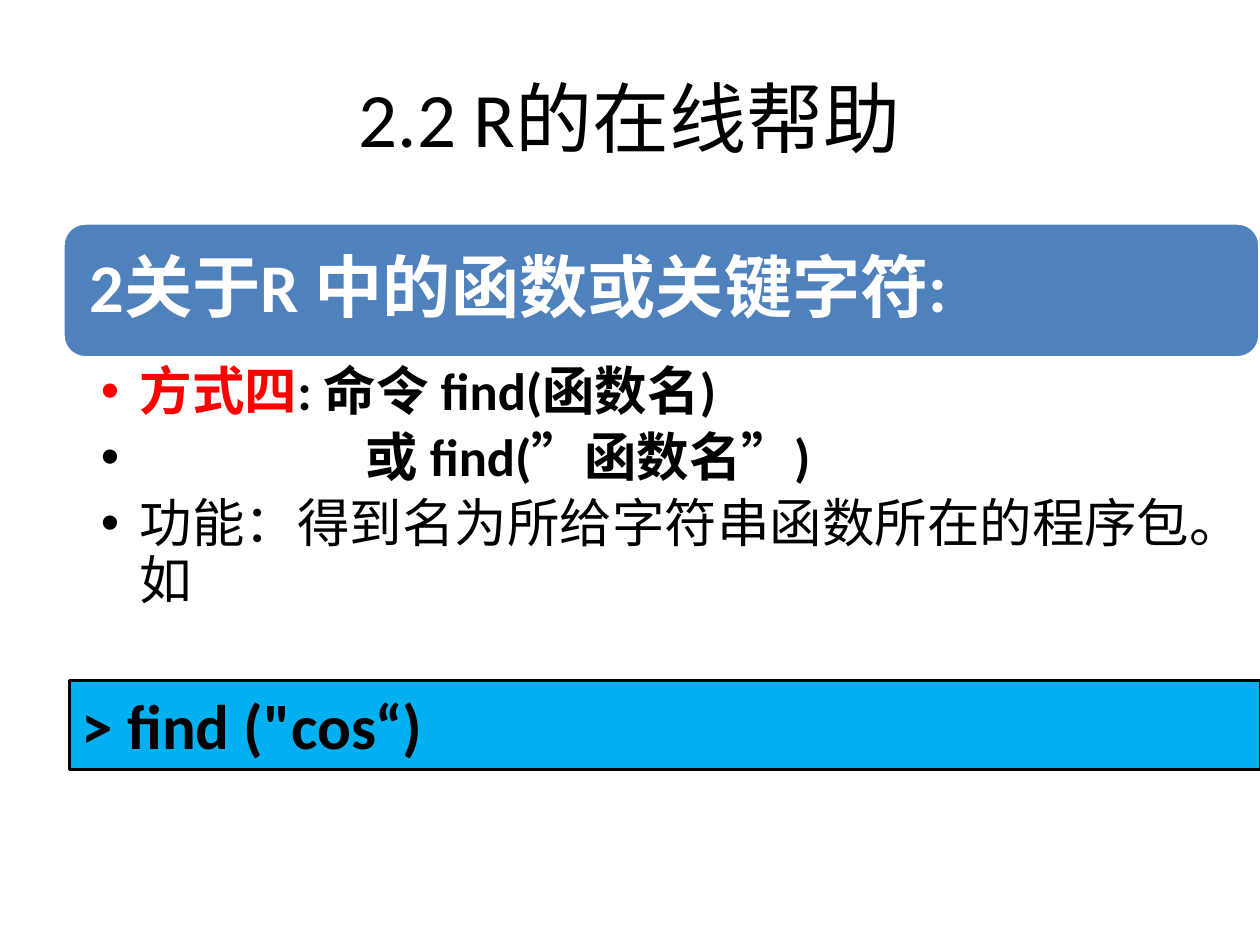
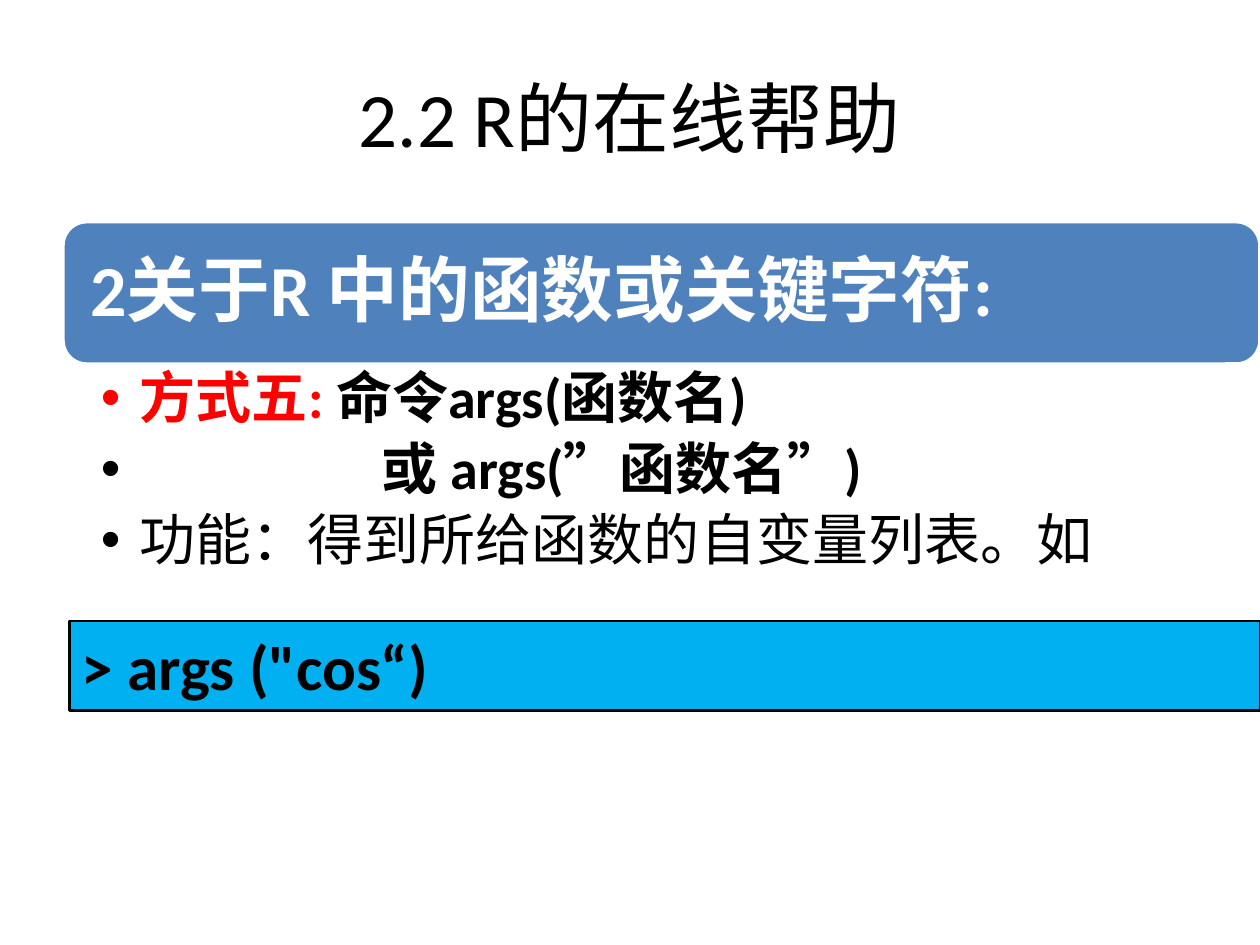
from lxml.etree import SubElement
from pptx import Presentation
from pptx.dml.color import RGBColor
from pptx.enum.shapes import MSO_SHAPE
from pptx.enum.text import MSO_ANCHOR, PP_ALIGN
from pptx.oxml.ns import qn
from pptx.util import Inches, Pt

FONT = "Calibri"
BLACK, WHITE, RED = "000000", "FFFFFF", "FF0000"
BANNER_BLUE, CODE_BLUE = "4F81BD", "00B0F0"
LEFT, CODE_LEFT, RIGHT = 0.5, 0.55, 10
BULLET_INDENT = 0.31
TITLE = "2.2 R的在线帮助"
BANNER = "2关于R 中的函数或关键字符:"


def rgb(hex_colour):
    return RGBColor.from_string(hex_colour)


def write(paragraph, text, size, colour=BLACK, bold=False):
    """Append one formatted run to a paragraph."""
    run = paragraph.add_run()
    run.text = text
    run.font.name = FONT
    run.font.size = Pt(size)
    run.font.bold = bold
    run.font.color.rgb = rgb(colour)


def set_frame(shape, horizontal=0.1, vertical=0.05, anchor=MSO_ANCHOR.TOP):
    """Set wrapping, insets and anchor; return the text frame."""
    frame = shape.text_frame
    frame.word_wrap = True
    frame.margin_left = frame.margin_right = Inches(horizontal)
    frame.margin_top = frame.margin_bottom = Inches(vertical)
    frame.vertical_anchor = anchor
    return frame


def add_box(slide, preset, left, top, height, fill, line, line_width):
    """Add a filled box that reaches the right edge of the slide."""
    shape = slide.shapes.add_shape(
        preset, Inches(left), Inches(top), Inches(RIGHT - left), Inches(height))
    shape.shadow.inherit = False
    shape.fill.solid()
    shape.fill.fore_color.rgb = rgb(fill)
    shape.line.color.rgb = rgb(line)
    shape.line.width = Pt(line_width)
    return shape


def add_title(slide):
    box = slide.shapes.add_textbox(Inches(0.5), Inches(0.3), Inches(9), Inches(1.25))
    paragraph = set_frame(box, anchor=MSO_ANCHOR.MIDDLE).paragraphs[0]
    paragraph.alignment = PP_ALIGN.CENTER
    write(paragraph, TITLE, 44)


def add_banner(slide, top, height, size):
    banner = add_box(slide, MSO_SHAPE.ROUNDED_RECTANGLE, LEFT, top, height,
                     BANNER_BLUE, WHITE, 2)
    frame = set_frame(banner, 0.16, 0.16, MSO_ANCHOR.MIDDLE)
    paragraph = frame.paragraphs[0]
    paragraph.alignment = PP_ALIGN.LEFT
    paragraph.line_spacing = 0.9
    write(paragraph, BANNER, size, WHITE, bold=True)


def set_bullet(paragraph, colour, indent):
    properties = paragraph._p.get_or_add_pPr()
    properties.set("marL", str(Inches(indent)))
    properties.set("indent", str(-Inches(indent)))
    bullet_colour = SubElement(properties, qn("a:buClr"))
    SubElement(bullet_colour, qn("a:srgbClr"), val=colour)
    SubElement(properties, qn("a:buFont"), typeface="Arial")
    SubElement(properties, qn("a:buChar"), char="•")


def add_bullets(slide, top, height, size, items):
    """Add bullets; each item is an indent and a list of (text, colour, bold)."""
    box = slide.shapes.add_textbox(
        Inches(LEFT), Inches(top), Inches(RIGHT - LEFT), Inches(height))
    frame = set_frame(box, 0.3)
    for index, (indent, runs) in enumerate(items):
        paragraph = frame.add_paragraph() if index else frame.paragraphs[0]
        set_bullet(paragraph, runs[0][1], indent)
        paragraph.line_spacing = 0.9
        paragraph.space_after = Pt(round(size * 0.18, 1))
        for text, colour, bold in runs:
            write(paragraph, text, size, colour, bold)


def add_code(slide, top, code):
    box = add_box(slide, MSO_SHAPE.RECTANGLE, CODE_LEFT, top, 0.71,
                  CODE_BLUE, BLACK, 1.5)
    paragraph = set_frame(box).paragraphs[0]
    paragraph.alignment = PP_ALIGN.LEFT
    write(paragraph, code, 36, bold=True)


def add_help_slide(presentation, banner, bullets, method, command,
                   alternative, alternative_indent, purpose, code_top, code):
    """Build one slide; banner and bullets are (top, height, text size)."""
    slide = presentation.slides.add_slide(presentation.slide_layouts[6])
    add_title(slide)
    add_banner(slide, *banner)
    add_bullets(slide, *bullets, [
        (BULLET_INDENT, [(method, RED, True), (command, BLACK, True)]),
        (alternative_indent, [(alternative, BLACK, True)]),
        (BULLET_INDENT, [(purpose, BLACK, False)]),
    ])
    add_code(slide, code_top, code)


def main():
    presentation = Presentation()
    presentation.slide_width = Inches(10)
    presentation.slide_height = Inches(7.5)
    add_help_slide(
        presentation, banner=(1.77, 1.07, 39), bullets=(2.85, 2.3, 30),
        method="方式四", command=": 命令 find(函数名)",
        alternative="或 find(”函数名”)", alternative_indent=2.1,
        purpose="功能：得到名为所给字符串函数所在的程序包。如",
        code_top=5.4, code="> find (\"cos“)")
    add_help_slide(
        presentation, banner=(1.76, 1.13, 41), bullets=(2.89, 1.95, 32),
        method="方式五: ", command="命令args(函数名)",
        alternative="或 args(”函数名”)", alternative_indent=2.23,
        purpose="功能：得到所给函数的自变量列表。如",
        code_top=4.93, code="> args (\"cos“)")
    presentation.save("out.pptx")


if __name__ == "__main__":
    main()
